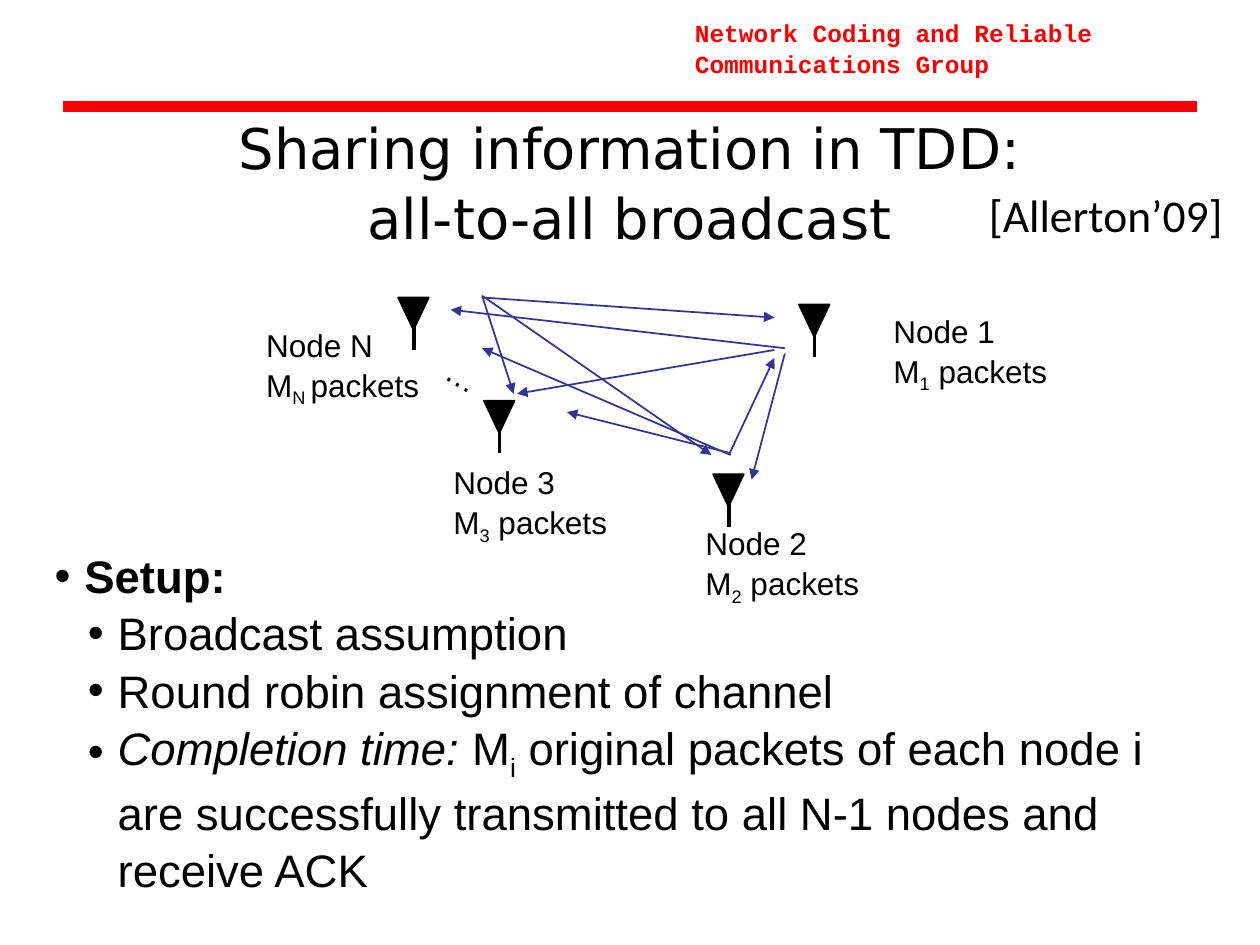
from lxml.etree import SubElement
from pptx import Presentation
from pptx.dml.color import RGBColor
from pptx.enum.shapes import MSO_CONNECTOR, MSO_SHAPE
from pptx.enum.text import MSO_ANCHOR, MSO_AUTO_SIZE, PP_ALIGN
from pptx.oxml.ns import qn
from pptx.util import Pt

BLACK, RED, BLUE = "000000", "FF0000", "333399"
INSETS = {"margin_left": Pt(7.2), "margin_right": Pt(7.2),
          "margin_top": Pt(3.6), "margin_bottom": Pt(3.6)}


def tint(code):
    return RGBColor.from_string(code)


def style(item, **values):
    for name, value in values.items():
        setattr(item, name, value)


def place(shape, box):
    style(shape, **dict(zip(("left", "top", "width", "height"), map(Pt, box))))


def write(para, runs, size, face="Arial", color=BLACK):
    """Add (text, format) runs; the "sub" format lowers a run."""
    style(para, line_spacing=1.05, space_before=Pt(0), space_after=Pt(0))
    for text, form in runs:
        run = para.add_run()
        run.text = text
        form = dict(form)
        if form.pop("sub", False):
            run.font._element.set("baseline", "-25000")
        style(run.font, **{"name": face, "size": Pt(size), "bold": False, **form})
        run.font.color.rgb = tint(color)


def label(shapes, box, lines, size, wrap=False, **look):
    text = shapes.add_textbox(*map(Pt, box))
    frame = text.text_frame
    style(frame, word_wrap=wrap, **INSETS)
    for n, runs in enumerate(lines):
        para = frame.add_paragraph() if n else frame.paragraphs[0]
        write(para, runs, size, **look)
    return text


def line(shapes, start, end, color, width, arrow=False):
    rule = shapes.add_connector(MSO_CONNECTOR.STRAIGHT, *map(Pt, (*start, *end)))
    rule.line.color.rgb = tint(color)
    rule.line.width = Pt(width)
    if arrow:
        SubElement(rule.line._get_or_add_ln(), qn("a:tailEnd"), type="triangle")
    SubElement(rule._element.spPr, qn("a:effectLst"))


def header(shapes, box):
    x, y, w, h = box
    group = [("Network Coding and Reliable Communications Group", {"bold": True})]
    label(shapes, (x + 354, y, 294, 41), [group], 14, wrap=True,
          face="Courier New", color=RED)
    line(shapes, (x, y + h), (x + w, y + h), RED, 6)


def title(shapes, box):
    head = shapes.title
    place(head, box)
    frame = head.text_frame
    style(frame, vertical_anchor=MSO_ANCHOR.MIDDLE, word_wrap=True,
          auto_size=MSO_AUTO_SIZE.NONE, **INSETS)
    para = frame.paragraphs[0]
    para.alignment = PP_ALIGN.CENTER
    write(para, [("Sharing information in TDD:", {})], 32, "DejaVu Sans")
    para.add_line_break()
    write(para, [("all-to-all broadcast", {})], 32, "DejaVu Sans")


def node(shapes, spot, name, gap, tag):
    """Draw an antenna at spot, with its label offset by gap."""
    x, y = spot
    parts = shapes.add_group_shape().shapes
    line(parts, (x + 9, y + 6), (x + 9, y + 30), BLACK, 2)
    horn = parts.add_shape(MSO_SHAPE.ISOSCELES_TRIANGLE,
                           *map(Pt, (x, y, 17.5, 18.5)))
    style(horn, rotation=180)
    horn.shadow.inherit = False
    horn.fill.solid()
    horn.fill.fore_color.rgb = horn.line.color.rgb = tint(BLACK)
    horn.line.width = Pt(1)
    low, rest = tag
    label(shapes, (x + gap[0], y + gap[1], 102, 53),
          [[(f"Node {name}", {})],
           [("M", {}), (low, {"sub": True}), (rest, {})]], 18)


def network(shapes, box):
    x, y = box[:2]
    nodes = [
        ((312, 18), "1", (47, -0.5)),
        ((263, 115), "2", (-11.5, 24)),
        ((132, 73), "3", (-24.5, 31)),
        ((83, 14), "N", (-82.5, 11.5)),
    ]
    for (dx, dy), name, gap in nodes:
        tag = ("N ", "packets") if name == "N" else (name, " packets")
        node(shapes, (x + dx, y + dy), name, gap, tag)
    dots = label(shapes, (x + 104.5, y + 43.5, 32.5, 29), [[("…", {})]], 18)
    dots.rotation = 31.4

    # Each sender's links to the other nodes
    links = [
        [((304, 43), (113, 21)), ((298, 44), (151, 69)), ((304, 46), (285, 118))],
        [((272.5, 103), (298, 48.5)), ((273, 103), (179.5, 79.5)),
         ((273, 104), (131, 43))],
        [((131, 14), (298, 25.5)), ((131, 13), (149, 69)), ((131, 13), (262, 104))],
    ]
    for fan in links:
        parts = shapes.add_group_shape().shapes
        for (ax, ay), (bx, by) in fan:
            line(parts, (x + ax, y + ay), (x + bx, y + by), BLUE, 1, arrow=True)


def bullet(para, margin):
    props = para._p.get_or_add_pPr()
    props.set("marL", str(Pt(margin)))
    props.set("indent", str(Pt(-17)))
    color = SubElement(props, qn("a:buClr"))
    SubElement(color, qn("a:srgbClr"), val=BLACK)
    SubElement(props, qn("a:buFont"), typeface="Arial")
    SubElement(props, qn("a:buChar"), char="•")


def setup(body, box):
    place(body, box)
    frame = body.text_frame
    style(frame, word_wrap=True, auto_size=MSO_AUTO_SIZE.NONE,
          vertical_anchor=MSO_ANCHOR.TOP, **INSETS)
    items = [
        (0, [("Setup:", {"bold": True})]),
        (1, [("Broadcast assumption", {})]),
        (1, [("Round robin assignment of channel", {})]),
        (1, [("Completion time:", {"italic": True}), (" M", {}),
             ("i", {"sub": True}),
             (" original packets of each node i are successfully transmitted "
              "to all N-1 nodes and receive ACK", {})]),
    ]
    for n, (level, runs) in enumerate(items):
        para = frame.add_paragraph() if n else frame.paragraphs[0]
        para.level = level
        write(para, runs, 26)
        bullet(para, 36 if level else 17)


def main():
    deck = Presentation()
    style(deck, slide_width=Pt(720), slide_height=Pt(540))
    slide = deck.slides.add_slide(deck.slide_layouts[1])
    shapes = slide.shapes
    header(shapes, (36, 6, 648, 55))
    title(shapes, (36, 78, 648, 50))
    label(shapes, (558, 102, 148, 39), [[("[Allerton’09]", {})]], 26,
          face="Calibri")
    network(shapes, (144.5, 156, 460, 192))
    setup(slide.placeholders[1], (24, 308, 666, 230))
    deck.save("out.pptx")


if __name__ == "__main__":
    main()
